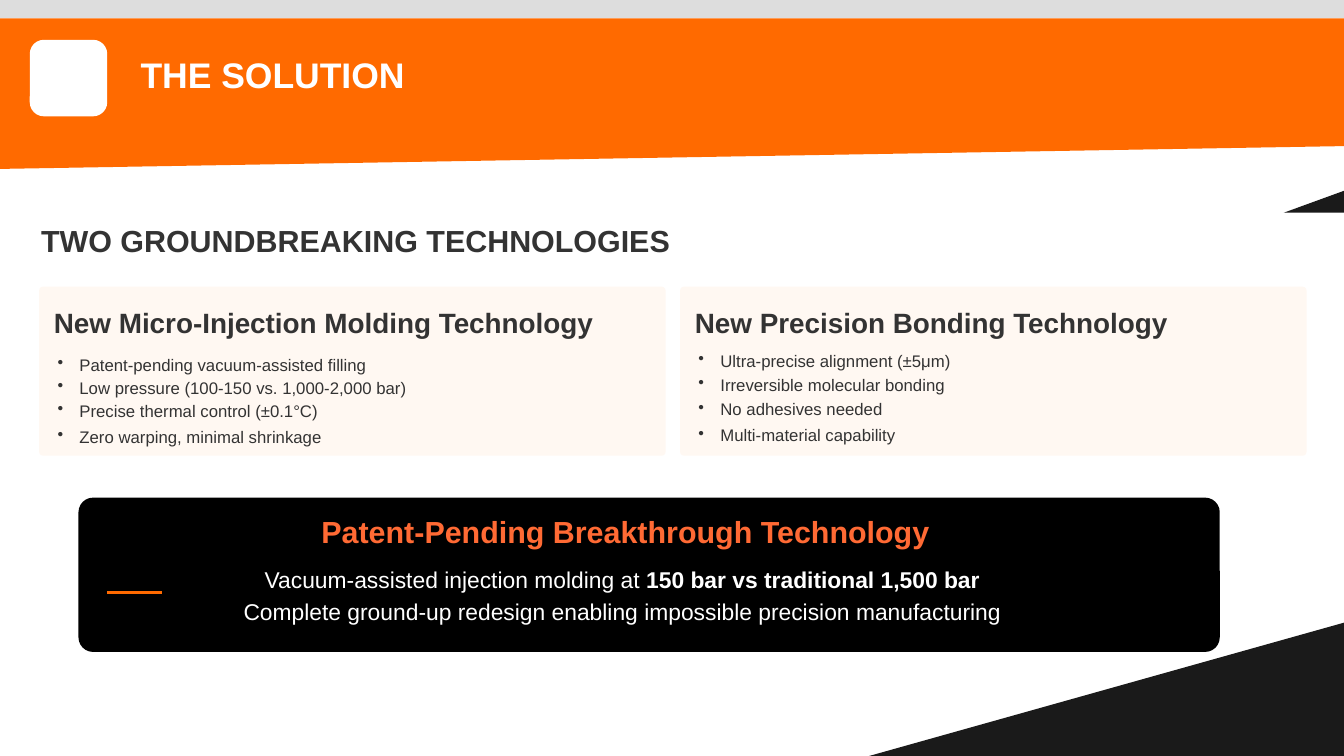
from lxml.etree import SubElement
from pptx import Presentation
from pptx.dml.color import RGBColor
from pptx.enum.shapes import MSO_CONNECTOR, MSO_SHAPE
from pptx.enum.text import MSO_AUTO_SIZE, PP_ALIGN
from pptx.oxml.ns import qn
from pptx.util import Inches, Pt

COLORS = {
    "page": "FFFFFF",
    "strip": "DDDDDD",
    "orange": "FF6A00",
    "coral": "FF6A34",
    "dark": "1A1A1A",
    "black": "000000",
    "cream": "FFF8F2",
    "text": "333333",
}
CARDS = [
    ("New Micro-Injection Molding Technology", 0.06, 0.9, [
        "Patent-pending vacuum-assisted filling",
        "Low pressure (100-150 vs. 1,000-2,000 bar)",
        "Precise thermal control (±0.1°C)",
        "Zero warping, minimal shrinkage",
    ]),
    ("New Precision Bonding Technology", 0.02, 1.7, [
        "Ultra-precise alignment (±5μm)",
        "Irreversible molecular bonding",
        "No adhesives needed",
        "Multi-material capability",
    ]),
]
CLAIM = [
    [("Vacuum-assisted injection molding at ", False),
     ("150 bar vs traditional 1,500 bar", True)],
    [("Complete ground-up redesign enabling impossible precision manufacturing", False)],
]


def color(name):
    return RGBColor.from_string(COLORS[name])


def paint(shape, fill):
    shape.shadow.inherit = False
    shape.fill.solid()
    shape.fill.fore_color.rgb = color(fill)
    shape.line.fill.background()


def add_area(slide, points, fill):
    spots = [(Inches(x), Inches(y)) for x, y in points]
    maker = slide.shapes.build_freeform(*spots[0])
    maker.add_line_segments(spots[1:], close=True)
    paint(maker.convert_to_shape(), fill)


def add_panel(slide, box, fill, radius=0):
    kind = MSO_SHAPE.ROUNDED_RECTANGLE if radius else MSO_SHAPE.RECTANGLE
    panel = slide.shapes.add_shape(kind, *map(Inches, box))
    if radius:
        panel.adjustments[0] = radius / min(box[2:])
    paint(panel, fill)
    return panel


def add_frame(slide, box, left=0, top=0.02):
    frame = slide.shapes.add_textbox(*map(Inches, box)).text_frame
    frame.word_wrap = True
    frame.auto_size = MSO_AUTO_SIZE.NONE
    frame.margin_left, frame.margin_top = Inches(left), Inches(top)
    frame.margin_right = frame.margin_bottom = 0
    return frame


def style(run, size, tint, bold=False):
    run.font.name = "Arial"
    run.font.size = Pt(size)
    run.font.bold = bold
    run.font.color.rgb = color(tint)


def add_title(slide, box, text, size, tint, top=0.02):
    frame = add_frame(slide, box, 0.02, top)
    frame.text = text
    style(frame.paragraphs[0].runs[0], size, tint, True)


def add_list(slide, box, items, top, gap):
    frame = add_frame(slide, box, top=top)
    frame.text = "\n".join(items)
    for line in frame.paragraphs:
        line.line_spacing = 1.1
        line.space_before = Pt(3 if line.text == items[-1] else gap)
        style(line.runs[0], 13.2, "text")
        props = line._p.get_or_add_pPr()
        props.set("marL", str(Inches(0.25)))
        props.set("indent", str(Inches(-0.24)))
        SubElement(props, qn("a:buChar")).set("char", "•")


def add_card(slide, left, card):
    title, top, gap, items = card
    add_panel(slide, (left, 3.14, 6.86, 1.85), "cream", 0.04)
    add_title(slide, (left + 0.14, 3.33, 6.21, 0.39), title, 22, "text")
    add_list(slide, (left + 0.19, 3.8, 3.92, 1.1), items, top, gap)


def add_rule(slide, start, end):
    rule = slide.shapes.add_connector(
        MSO_CONNECTOR.STRAIGHT, *map(Inches, start + end))
    rule.line.color.rgb = color("orange")
    rule.line.width = Pt(3)
    SubElement(rule._element.spPr, qn("a:effectLst"))


def add_claim(slide, box):
    frame = add_frame(slide, box, top=0.05)
    first, second = frame.paragraphs[0], frame.add_paragraph()
    first.line_spacing = Pt(16.3)
    second.space_before = Pt(3.5)
    for line, parts in zip((first, second), CLAIM):
        line.alignment = PP_ALIGN.CENTER
        for text, bold in parts:
            run = line.add_run()
            run.text = text
            style(run, 18, "page", bold)


def main():
    deck = Presentation()
    deck.slide_width, deck.slide_height = Inches(14.72), Inches(8.28)
    slide = deck.slides.add_slide(deck.slide_layouts[6])
    slide.background.fill.solid()
    slide.background.fill.fore_color.rgb = color("page")

    add_panel(slide, (0, 0, 14.72, 0.2), "strip")
    add_area(slide, [(0, 0.2), (14.72, 0.2), (14.72, 1.6), (0, 1.85)], "orange")
    add_area(slide, [(14.72, 8.28), (9.52, 8.28), (14.72, 6.82)], "dark")
    badge = add_panel(slide, (0.34, 0.45, 0.82, 0.81), "page", 0.14)
    badge.line.color.rgb = color("page")
    badge.line.width = Pt(2)
    add_area(slide, [(14.72, 2.33), (14.06, 2.33), (14.72, 2.09)], "dark")

    add_title(slide, (1.52, 0.31, 6.06, 0.74), "THE SOLUTION", 28, "page", 0.27)
    add_title(slide, (0.43, 2.41, 10.13, 0.42),
              "TWO GROUNDBREAKING TECHNOLOGIES", 24, "text")
    for index, card in enumerate(CARDS):
        add_card(slide, 0.43 + 7.02 * index, card)

    add_panel(slide, (0.86, 5.45, 12.5, 1.69), "black", 0.16)
    add_rule(slide, (1.17, 6.49), (1.77, 6.49))
    add_title(slide, (3.5, 5.6, 7.05, 0.42),
              "Patent-Pending Breakthrough Technology", 24, "coral")
    add_claim(slide, (2.44, 6.22, 8.75, 0.67))
    deck.save("out.pptx")


if __name__ == "__main__":
    main()
